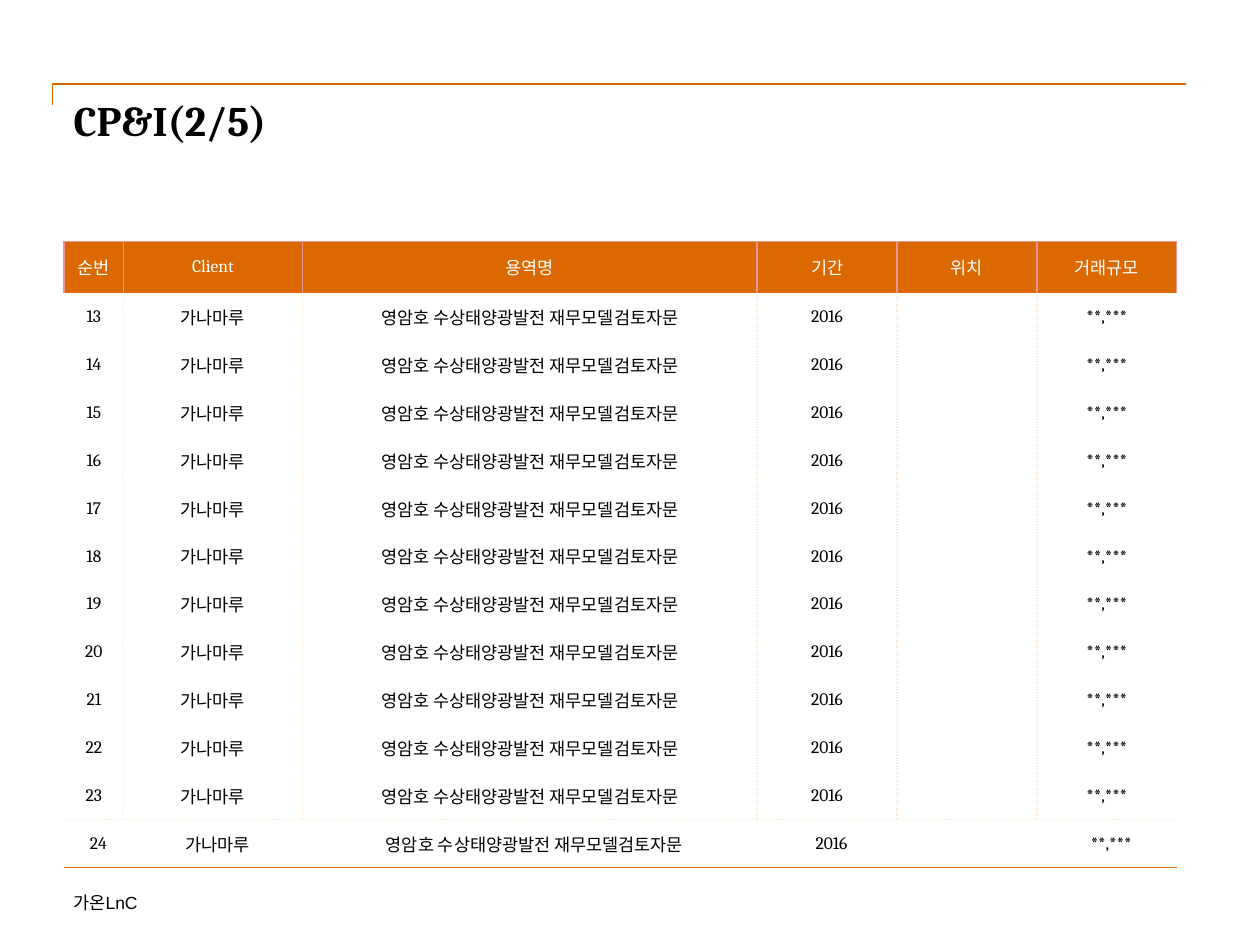
from dataclasses import dataclass

from lxml.etree import SubElement
from pptx import Presentation
from pptx.dml.color import RGBColor
from pptx.enum.text import MSO_ANCHOR as Anchor, PP_ALIGN as Align
from pptx.oxml.ns import qn
from pptx.util import Inches, Pt

GRID = Inches(1) // 12  # the slide is 120 columns by 90 rows
COLORS = {"accent": "DC6900", "divider": "EA9696", "dots": "FFE1C5",
          "ink": "000000", "paper": "FFFFFF"}
SERIF, SANS = "Cambria", "Arial"
NO_STYLE = "{2D5ABB26-0587-4C30-8999-92F81FD0307C}"

HEADER_HEIGHT, ROW_HEIGHT = 0.41, 0.38
FIRST_NUMBER, LAST_NUMBER = 13, 24


@dataclass(frozen=True)
class Column:
    heading: str
    width: float
    entry: str = ""


@dataclass(frozen=True)
class Border:
    sides: str
    color: str
    dash: str = "solid"


COLUMNS = (
    Column("순번", 0.47, "{number}"),
    Column("Client", 1.42, "가나마루"),
    Column("용역명", 3.61, "영암호 수상태양광발전 재무모델검토자문"),
    Column("기간", 1.11, "2016"),
    Column("위치", 1.11),
    Column("거래규모", 1.11, "**,***"),
)


def cells(count: float) -> int:
    """Length of a number of grid cells."""
    return round(count * GRID)


def rgb(name: str) -> RGBColor:
    return RGBColor.from_string(COLORS[name])


def write(frame, text: str, *, size: float = 10, font: str = SERIF, color: str = "ink",
          bold: bool = False, align=Align.LEFT, indent: float = 0) -> None:
    paragraph = frame.paragraphs[0]
    paragraph.alignment = align
    if indent:
        paragraph._p.get_or_add_pPr().set("marL", str(Inches(indent)))
    run = paragraph.add_run()
    run.text = text
    run.font.size, run.font.name, run.font.bold = Pt(size), font, bold
    run.font.color.rgb = rgb(color)


def clear_insets(frame) -> None:
    frame.margin_left = frame.margin_right = frame.margin_top = frame.margin_bottom = 0
    frame.vertical_anchor = Anchor.TOP
    frame.word_wrap = True


def draw_borders(cell, borders: list[Border]) -> None:
    by_side = {side: border for border in borders for side in border.sides}
    properties = cell._tc.get_or_add_tcPr()
    for side in "LRTB":
        if side not in by_side:
            continue
        line = SubElement(properties, qn(f"a:ln{side}"), w=str(Pt(1)))
        fill = SubElement(line, qn("a:solidFill"))
        SubElement(fill, qn("a:srgbClr"), val=COLORS[by_side[side].color])
        SubElement(line, qn("a:prstDash"), val=by_side[side].dash)


def format_cell(cell, text: str, borders: list[Border], *, inset: float = 0,
                color: str = "ink", indent: float = 0) -> None:
    cell.margin_left = cell.margin_right = Inches(inset)
    cell.margin_top = cell.margin_bottom = Inches(inset)
    cell.vertical_anchor = Anchor.MIDDLE
    draw_borders(cell, borders)
    if text:
        write(cell.text_frame, text, color=color, align=Align.CENTER, indent=indent)


def body_borders(number: int, column: int) -> list[Border]:
    """Dotted dividers between columns, and a rule under the last row."""
    if number == LAST_NUMBER:
        return [Border("T", "dots", "sysDot"), Border("B", "accent")]
    sides = ("L" if column else "") + ("R" if column < len(COLUMNS) - 1 else "")
    sides += "B" if number == LAST_NUMBER - 1 else ""
    return [Border(sides, "dots", "sysDot")]


def add_engagements(slide) -> None:
    numbers = range(FIRST_NUMBER, LAST_NUMBER + 1)
    frame = slide.shapes.add_table(
        len(numbers) + 1, len(COLUMNS), Inches(0.51), cells(23),
        Inches(sum(column.width for column in COLUMNS)),
        Inches(HEADER_HEIGHT + ROW_HEIGHT * len(numbers)))
    table = frame.table
    table.first_row = table.horz_banding = False
    table._tbl.tblPr.find(qn("a:tableStyleId")).text = NO_STYLE

    for row in table.rows:
        row.height = Inches(ROW_HEIGHT)
    table.rows[0].height = Inches(HEADER_HEIGHT)

    for index, column in enumerate(COLUMNS):
        table.columns[index].width = Inches(column.width)
        heading = table.cell(0, index)
        format_cell(heading, column.heading, [Border("LRT", "divider")],
                    inset=0.04, color="paper")
        heading.fill.solid()
        heading.fill.fore_color.rgb = rgb("accent")
        for row, number in enumerate(numbers, start=1):
            entry = table.cell(row, index)
            format_cell(entry, column.entry.format(number=number),
                        body_borders(number, index),
                        indent=0.07 if number == LAST_NUMBER else 0)
            entry.fill.background()


def add_bracket(slide) -> None:
    """Rule above the title with a short drop at its left end."""
    outline = slide.shapes.build_freeform(cells(5), cells(10))
    outline.add_line_segments([(cells(5), cells(8)), (cells(113), cells(8))], close=False)
    bracket = outline.convert_to_shape()
    bracket.shadow.inherit = False
    bracket.fill.background()
    bracket.line.color.rgb = rgb("accent")
    bracket.line.width = Pt(1)


def add_title(slide) -> None:
    title = slide.shapes.title
    title.left, title.top, title.width, title.height = map(cells, (7, 9, 106, 12))
    clear_insets(title.text_frame)
    write(title.text_frame, "CP&I(2/5)", size=24, bold=True)


def add_footer(slide) -> None:
    footer = slide.shapes.add_textbox(*map(cells, (7, 85, 34, 2)))
    clear_insets(footer.text_frame)
    write(footer.text_frame, "가온LnC", font=SANS)


def main() -> None:
    deck = Presentation()
    deck.slide_width, deck.slide_height = cells(120), cells(90)
    slide = deck.slides.add_slide(deck.slide_layouts[5])
    add_bracket(slide)
    add_footer(slide)
    add_title(slide)
    add_engagements(slide)
    deck.save("out.pptx")


if __name__ == "__main__":
    main()
